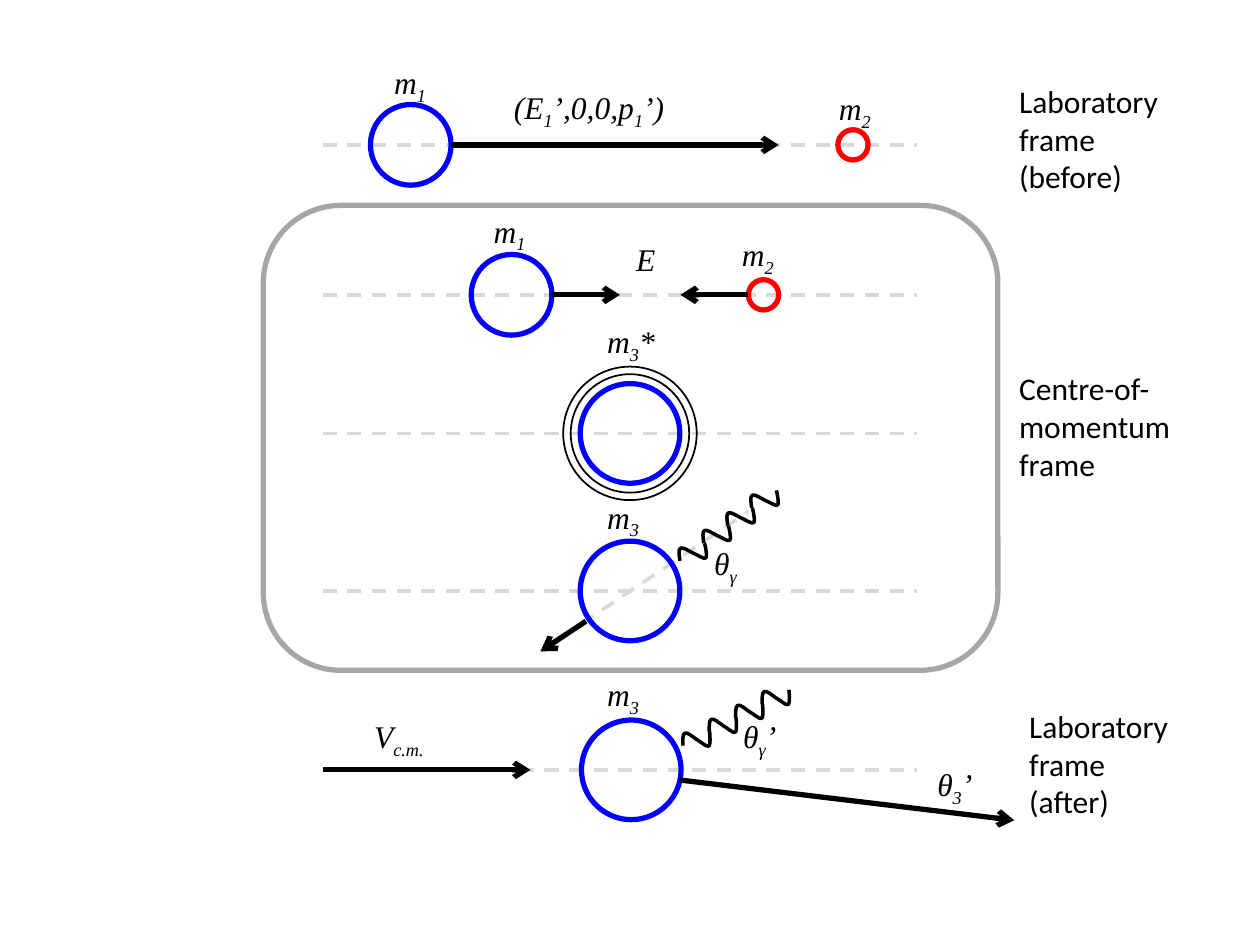
import dataclasses

import lxml.etree
import pptx
import pptx.dml.color
import pptx.enum.dml
import pptx.enum.shapes
import pptx.oxml
import pptx.oxml.ns
import pptx.util
from pptx.util import Inches


@dataclasses.dataclass(frozen=True)
class Theme:
    black: str = "000000"
    blue: str = "0000FF"
    red: str = "FF0000"
    frame_grey: str = "A6A6A6"
    guide_grey: str = "D9D9D9"
    symbol_font: str = "Times New Roman"
    caption_font: str = "Calibri"
    text_size: int = 18
    heavy: int = 3
    medium: int = 2
    thin: int = 1


# One wave period around its centre: a start, then three points per cubic curve.
WAVE_POINTS = [
    (-0.01, 0.12),
    (-0.05, 0.1), (-0.09, 0.08), (-0.09, 0.06),
    (-0.09, 0.04), (-0.04, 0.02), (0, 0),
    (0.03, -0.02), (0.09, -0.04), (0.09, -0.06),
    (0.09, -0.08), (-0.01, -0.12), (-0.01, -0.12),
]


def bend(shape):
    """Turn every three straight segments of a freeform into one cubic curve."""
    segments = list(shape._element.iter(pptx.oxml.ns.qn("a:lnTo")))
    for index in range(0, len(segments), 3):
        curve = lxml.etree.Element(pptx.oxml.ns.qn("a:cubicBezTo"))
        segments[index].addprevious(curve)
        for segment in segments[index:index + 3]:
            curve.append(segment[0])
            segment.getparent().remove(segment)


class Diagram:
    def __init__(self, slide, theme):
        self.slide = slide
        self.theme = theme

    def stroke(self, line, color, width):
        line.color.rgb = pptx.dml.color.RGBColor.from_string(color)
        line.width = pptx.util.Pt(width)

    def outline(self, kind, left, top, width, height, color, weight):
        shape = self.slide.shapes.add_shape(
            kind, Inches(left), Inches(top), Inches(width), Inches(height))
        shape.shadow.inherit = False
        shape.fill.background()
        self.stroke(shape.line, color, weight)

    def circle(self, x, y, diameter, color, weight=None):
        """Draw an unfilled circle centred on (x, y)."""
        self.outline(pptx.enum.shapes.MSO_SHAPE.OVAL, x - diameter / 2, y - diameter / 2,
                     diameter, diameter, color, weight or self.theme.heavy)

    def connector(self, start, end, color, width):
        line = self.slide.shapes.add_connector(
            pptx.enum.shapes.MSO_CONNECTOR.STRAIGHT,
            *(Inches(value) for value in (*start, *end)))
        self.stroke(line.line, color, width)
        line._element.spPr.append(pptx.oxml.parse_xml(
            f"<a:effectLst {pptx.oxml.ns.nsdecls('a')}/>"))
        return line

    def guide(self, start, end):
        line = self.connector(start, end, self.theme.guide_grey, self.theme.medium)
        line.line.dash_style = pptx.enum.dml.MSO_LINE.DASH

    def arrow(self, start, end):
        line = self.connector(start, end, self.theme.black, self.theme.heavy)
        line._element.spPr.find(pptx.oxml.ns.qn("a:ln")).append(pptx.oxml.parse_xml(
            f"<a:tailEnd {pptx.oxml.ns.nsdecls('a')} type='arrow'/>"))

    def wave(self, x, y, step_x, step_y, angle, periods=4):
        """Draw a photon as equal wave periods, the first centred on (x, y)."""
        group = self.slide.shapes.add_group_shape()
        for index in range(periods):
            center_x, center_y = x + index * step_x, y + index * step_y
            points = [(Inches(center_x + dx), Inches(center_y + dy))
                      for dx, dy in WAVE_POINTS]
            builder = group.shapes.build_freeform(*points[0])
            builder.add_line_segments(points[1:], close=False)
            shape = builder.convert_to_shape()
            bend(shape)
            shape.shadow.inherit = False
            shape.fill.background()
            self.stroke(shape.line, self.theme.black, self.theme.medium)
            shape.rotation = angle

    def text_box(self, left, top, width, height):
        box = self.slide.shapes.add_textbox(
            Inches(left), Inches(top), Inches(width), Inches(height))
        box.text_frame.word_wrap = True
        return box.text_frame

    def add_run(self, para, text, font):
        span = para.add_run()
        span.text = text
        span.font.name = font
        span.font.size = pptx.util.Pt(self.theme.text_size)
        span.font.color.rgb = pptx.dml.color.RGBColor.from_string(self.theme.black)
        return span

    def symbol(self, left, top, width, *parts):
        """Write an italic symbol; every second part is a subscript."""
        para = self.text_box(left, top, width, 0.4).paragraphs[0]
        for index, part in enumerate(parts):
            span = self.add_run(para, part, self.theme.symbol_font)
            span.font.italic = True
            if index % 2:
                span._r.get_or_add_rPr().set("baseline", "-25000")

    def caption(self, left, top, *lines):
        frame = self.text_box(left, top, 1.5, 1.01)
        for index, line in enumerate(lines):
            para = frame.add_paragraph() if index else frame.paragraphs[0]
            self.add_run(para, line, self.theme.caption_font)


def main():
    theme = Theme()
    deck = pptx.Presentation()
    deck.slide_width, deck.slide_height = Inches(10), Inches(7.5)
    diagram = Diagram(deck.slides.add_slide(deck.slide_layouts[6]), theme)

    lab_before, approach, excited, decay, lab_after = 1.15, 2.34, 3.44, 4.69, 6.11
    middle = 5
    light, heavy, merged = 0.24, 0.64, 0.79

    diagram.guide((4.29, 5.17), (5.94, 4.06))
    for y in (lab_before, approach, excited, decay, lab_after):
        diagram.guide((2.56, y), (7.28, y))

    diagram.outline(pptx.enum.shapes.MSO_SHAPE.ROUNDED_RECTANGLE,
                    2.09, 1.63, 5.83, 3.69, theme.frame_grey, theme.heavy)

    for x, y, diameter, color in [
        (3.26, lab_before, heavy, theme.blue),
        (6.77, lab_before, light, theme.red),
        (4.06, approach, heavy, theme.blue),
        (6.06, approach, light, theme.red),
        (middle, excited, merged, theme.blue),
        (middle, decay, merged, theme.blue),
        (middle + 0.01, lab_after, merged, theme.blue),
    ]:
        diagram.circle(x, y, diameter, color)
    for diameter in (0.94, 1.06):
        diagram.circle(middle, excited, diameter, theme.black, theme.thin)

    for start, end in [
        ((3.58, lab_before), (6.18, lab_before)),
        ((4.38, approach), (4.92, approach)),
        ((5.94, approach), (5.4, approach)),
        ((4.65, 4.93), (4.29, 5.17)),
        ((5.39, 6.19), (8.05, 6.51)),
        ((2.56, lab_after), (4.21, lab_after)),
    ]:
        diagram.arrow(start, end)

    diagram.wave(5.5, 4.39, 0.19, -0.14, 54.7)
    diagram.wave(5.53, 5.87, 0.21, -0.11, 62.1)

    for left, top, width, *parts in [
        (3.03, 0.45, 0.47, "m", "1"),
        (6.56, 0.66, 0.47, "m", "2"),
        (3.98, 0.65, 1.73, "(E", "1", "’,0,0,p", "1", "’)"),
        (3.82, 1.63, 0.47, "m", "1"),
        (5.79, 1.82, 0.47, "m", "2"),
        (4.95, 1.86, 0.37, "E"),
        (4.72, 2.51, 0.68, "m", "3", "*"),
        (4.72, 3.9, 0.47, "m", "3"),
        (5.57, 4.27, 0.47, "θ", "γ"),
        (4.72, 5.31, 0.47, "m", "3"),
        (5.8, 5.64, 0.61, "θ", "γ", "’"),
        (7.34, 6.02, 0.61, "θ", "3", "’"),
        (2.87, 5.64, 0.79, "V", "c.m."),
    ]:
        diagram.symbol(left, top, width, *parts)

    diagram.caption(7.99, 0.6, "Laboratory frame (before)")
    diagram.caption(7.99, 2.88, "Centre-of-momentum frame")
    diagram.caption(8.07, 5.56, "Laboratory frame", "(after)")

    deck.save("out.pptx")


if __name__ == "__main__":
    main()
